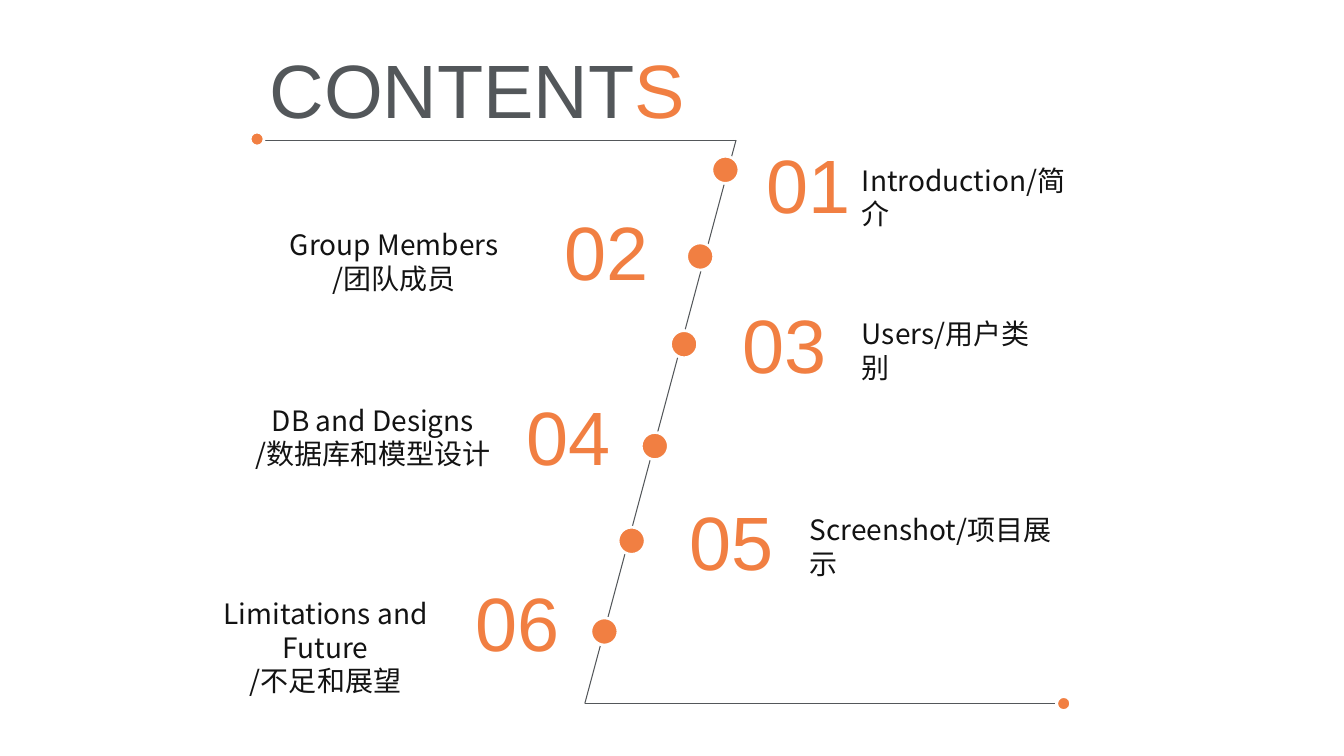
from dataclasses import dataclass

from lxml import etree
from pptx import Presentation
from pptx import util as u
from pptx.dml.color import RGBColor
from pptx.enum import shapes, text
from pptx.oxml import ns

EMU_PER_PX = 9144


@dataclass(frozen=True)
class Theme:
    grey: str = "53575A"
    orange: str = "F17F42"
    ink: str = "131313"
    white: str = "FFFFFF"
    display_font: str = "Arial"
    label_font: str = "Noto Sans CJK SC"
    display_size: int = 54
    label_size: int = 20
    rule_width: float = 0.75
    dot_outline: int = 2


@dataclass(frozen=True)
class Box:
    left: int
    top: int
    width: int
    height: int


@dataclass(frozen=True)
class Run:
    words: str
    font: str
    size: int
    color: str


@dataclass(frozen=True)
class Entry:
    number: str
    number_at: tuple[int, int]
    label: Box
    lines: tuple[str, ...]
    dot_at: tuple[int, int]


THEME = Theme()
LEFT = text.PP_ALIGN.LEFT
CENTER = text.PP_ALIGN.CENTER
NUMBER_WIDTH, TITLE_HEIGHT = 118, 101
DOT, END_DOT = 27, 14
PATH_POINTS = [(257, 139), (730, 139), (580, 698), (1053, 698)]
END_DOTS = [(248, 131), (1048, 691)]
TITLE = Box(255, 38, 437, TITLE_HEIGHT)
ENTRIES = [
    Entry("01", (750, 132), Box(845, 157, 241, 44), ("Introduction/简介",), (706, 155)),
    Entry("02", (550, 198), Box(277, 221, 228, 77), ("Group Members", "/团队成员"), (681, 241)),
    Entry("03", (727, 291), Box(845, 309, 212, 44), ("Users/用户类别",), (665, 328)),
    Entry("04", (512, 382), Box(242, 395, 256, 77), ("DB and Designs", "/数据库和模型设计"), (636, 429)),
    Entry("05", (674, 486), Box(793, 504, 282, 44), ("Screenshot/项目展示",), (613, 523)),
    Entry("06", (462, 566), Box(173, 587, 300, 77), ("Limitations and Future", "/不足和展望"), (586, 613)),
]


def px(length: int) -> u.Emu:
    return u.Emu(length * EMU_PER_PX)


def rgb(color: str) -> RGBColor:
    return RGBColor.from_string(color)


def apply_format(target: object, values: dict[str, object]) -> None:
    for name, value in values.items():
        setattr(target, name, value)


def add_text(slide, box: Box, lines: list[list[Run]], alignment=LEFT) -> None:
    shape = slide.shapes.add_textbox(px(box.left), px(box.top), px(box.width), px(box.height))
    frame = shape.text_frame
    apply_format(frame, {"word_wrap": True, "auto_size": text.MSO_AUTO_SIZE.SHAPE_TO_FIT_TEXT})
    for index, line in enumerate(lines):
        paragraph = frame.add_paragraph() if index else frame.paragraphs[0]
        paragraph.alignment = alignment
        for part in line:
            run = paragraph.add_run()
            run.text = part.words
            apply_format(run.font, {"name": part.font, "size": u.Pt(part.size)})
            run.font.color.rgb = rgb(part.color)
            east_asian = etree.SubElement(run.font._element, ns.qn("a:ea"))
            east_asian.set("typeface", part.font)


def add_rule(slide, start: tuple[int, int], end: tuple[int, int]) -> None:
    ends = [px(value) for value in (*start, *end)]
    connector = slide.shapes.add_connector(shapes.MSO_CONNECTOR.STRAIGHT, *ends)
    connector.line.width = u.Pt(THEME.rule_width)
    connector.line.color.rgb = rgb(THEME.grey)
    etree.SubElement(connector._element.spPr, ns.qn("a:effectLst"))


def add_dot(slide, at: tuple[int, int], size: int) -> None:
    left, top = at
    shape = slide.shapes.add_shape(shapes.MSO_SHAPE.OVAL, px(left), px(top), px(size), px(size))
    shape.shadow.inherit = False
    shape.fill.solid()
    shape.fill.fore_color.rgb = rgb(THEME.orange)
    shape.line.width = u.Pt(THEME.dot_outline)
    shape.line.color.rgb = rgb(THEME.white)


def display_run(words: str, color: str) -> Run:
    return Run(words, THEME.display_font, THEME.display_size, color)


def add_entry(slide, entry: Entry) -> None:
    add_dot(slide, entry.dot_at, DOT)
    number_box = Box(*entry.number_at, NUMBER_WIDTH, TITLE_HEIGHT)
    add_text(slide, number_box, [[display_run(entry.number, THEME.orange)]])
    label = [[Run(line, THEME.label_font, THEME.label_size, THEME.ink)] for line in entry.lines]
    on_left = entry.label.left < entry.number_at[0]
    add_text(slide, entry.label, label, CENTER if on_left else LEFT)


def main() -> None:
    presentation = Presentation()
    apply_format(presentation, {"slide_width": px(1333), "slide_height": px(750)})
    slide = presentation.slides.add_slide(presentation.slide_layouts[6])
    for start, end in zip(PATH_POINTS, PATH_POINTS[1:]):
        add_rule(slide, start, end)
    for at in END_DOTS:
        add_dot(slide, at, END_DOT)
    title = [display_run("CONTENT", THEME.grey), display_run("S", THEME.orange)]
    add_text(slide, TITLE, [title], CENTER)
    for entry in ENTRIES:
        add_entry(slide, entry)
    presentation.save("out.pptx")


if __name__ == "__main__":
    main()
